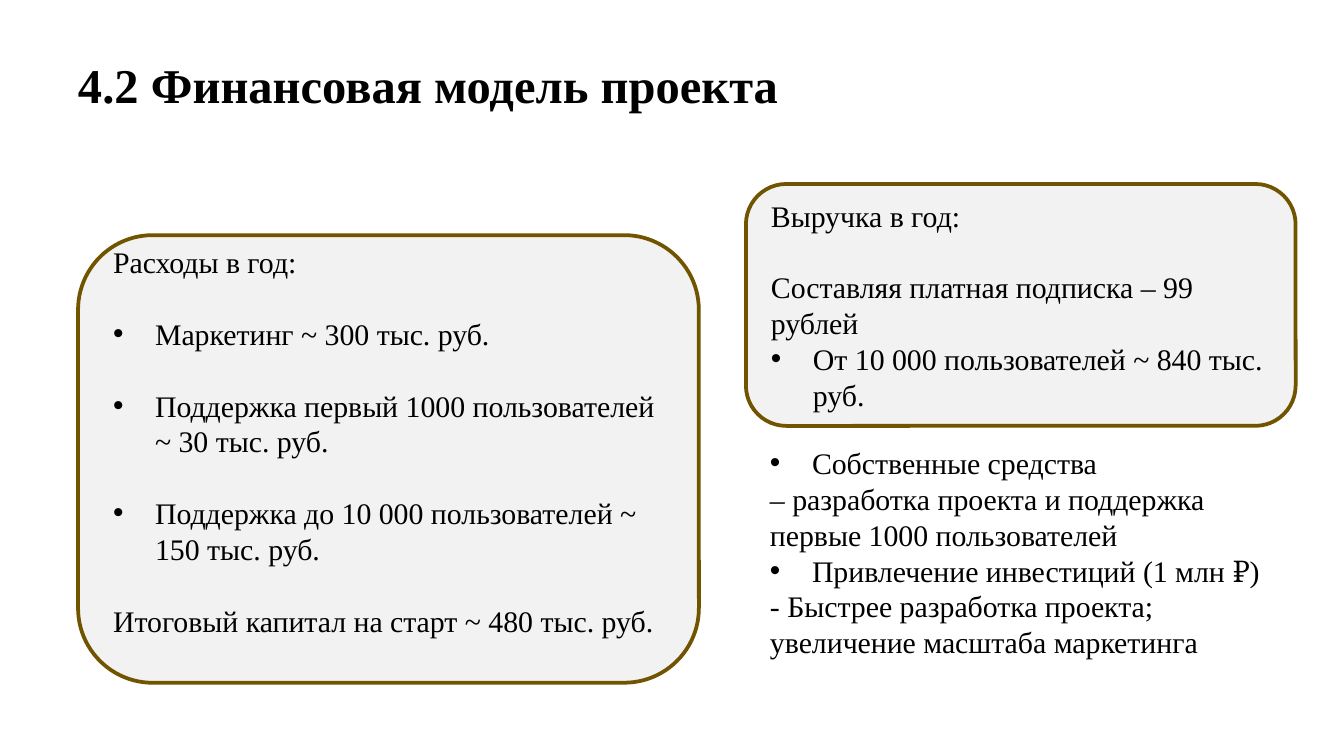
from dataclasses import dataclass

from lxml.etree import SubElement
from pptx import Presentation
from pptx.dml.color import RGBColor
from pptx.enum.shapes import MSO_SHAPE as Shape
from pptx.enum.text import MSO_ANCHOR as Anchor
from pptx.oxml.ns import qn
from pptx.util import Pt

COLORS = {"text": "000000", "card": "F2F2F2", "border": "705400"}
FONT = "Times New Roman"
BODY_SIZE = 16
LINE_HEIGHT = 19.2
BULLET_INDENT = 22.5


@dataclass
class Line:
    text: str
    bullet: bool = False
    gap: bool = False


@dataclass
class Box:
    left: float
    top: float
    width: float
    height: float
    lines: list[Line]
    card: bool = False
    bottom_inset: float = 3.6


TITLE = Box(41.8, 28.8, 413.3, 31.7, [Line("4.2 Финансовая модель проекта")])
EXPENSES = Box(41.8, 126, 332.6, 239.8, [
    Line("Расходы в год:"),
    Line("Маркетинг ~ 300 тыс. руб.", bullet=True, gap=True),
    Line("Поддержка первый 1000 пользователей ~ 30 тыс. руб.", bullet=True, gap=True),
    Line("Поддержка до 10 000 пользователей ~ 150 тыс. руб.", bullet=True, gap=True),
    Line("Итоговый капитал на старт ~ 480 тыс. руб.", gap=True),
], card=True, bottom_inset=3.6 + LINE_HEIGHT)
REVENUE = Box(399.6, 98.6, 294.5, 129.6, [
    Line("Выручка в год:"),
    Line("Составляя платная подписка – 99 рублей", gap=True),
    Line("От 10 000 пользователей ~ 840 тыс. руб.", bullet=True),
], card=True)
FUNDING = Box(405.4, 234.7, 288.7, 123.8, [
    Line("Собственные средства", bullet=True),
    Line("– разработка проекта и поддержка первые 1000 пользователей"),
    Line("Привлечение инвестиций (1 млн ₽)", bullet=True),
    Line("- Быстрее разработка проекта; увеличение масштаба маркетинга"),
])


def color(name: str) -> RGBColor:
    return RGBColor.from_string(COLORS[name])


def add_bullet(paragraph) -> None:
    properties = paragraph._p.get_or_add_pPr()
    properties.set("marL", str(Pt(BULLET_INDENT)))
    properties.set("indent", str(-Pt(BULLET_INDENT)))
    bullet_color = SubElement(properties, qn("a:buClr"))
    SubElement(bullet_color, qn("a:srgbClr"), val=COLORS["text"])
    SubElement(properties, qn("a:buFont"), typeface="Arial")
    SubElement(properties, qn("a:buChar"), char="•")


def write_lines(text_frame, lines: list[Line], size: float, line_height: float,
                bold: bool = False) -> None:
    text_frame.word_wrap = True
    text_frame.text = "\n".join(line.text for line in lines)
    for paragraph, line in zip(text_frame.paragraphs, lines):
        if line.bullet:
            add_bullet(paragraph)
        paragraph.alignment = 1
        paragraph.line_spacing = Pt(line_height)
        if line.gap:
            paragraph.space_before = Pt(line_height)
        for run in paragraph.runs:
            run.font.name = FONT
            run.font.size = Pt(size)
            run.font.bold = bold
            run.font.color.rgb = color("text")


def add_box(slide, box: Box):
    """Add a rounded card or a plain text box, without its text."""
    frame = [Pt(value) for value in (box.left, box.top, box.width, box.height)]
    if not box.card:
        return slide.shapes.add_textbox(*frame)
    shape = slide.shapes.add_shape(Shape.ROUNDED_RECTANGLE, *frame)
    shape.shadow.inherit = False
    shape.fill.solid()
    shape.fill.fore_color.rgb = color("card")
    shape.line.color.rgb = color("border")
    shape.line.width = Pt(2)
    shape.text_frame.vertical_anchor = Anchor.MIDDLE
    shape.text_frame.margin_bottom = Pt(box.bottom_inset)
    return shape


def add_title(slide, box: Box) -> None:
    text_frame = add_box(slide, box).text_frame
    text_frame.margin_left = text_frame.margin_right = 0
    text_frame.margin_top = text_frame.margin_bottom = 0
    write_lines(text_frame, box.lines, 26, box.height, bold=True)


def main() -> None:
    presentation = Presentation()
    presentation.slide_width, presentation.slide_height = Pt(720), Pt(405)
    slide = presentation.slides.add_slide(presentation.slide_layouts[6])
    add_title(slide, TITLE)
    for box in (EXPENSES, REVENUE, FUNDING):
        write_lines(add_box(slide, box).text_frame, box.lines, BODY_SIZE, LINE_HEIGHT)
    presentation.save("out.pptx")


if __name__ == "__main__":
    main()
